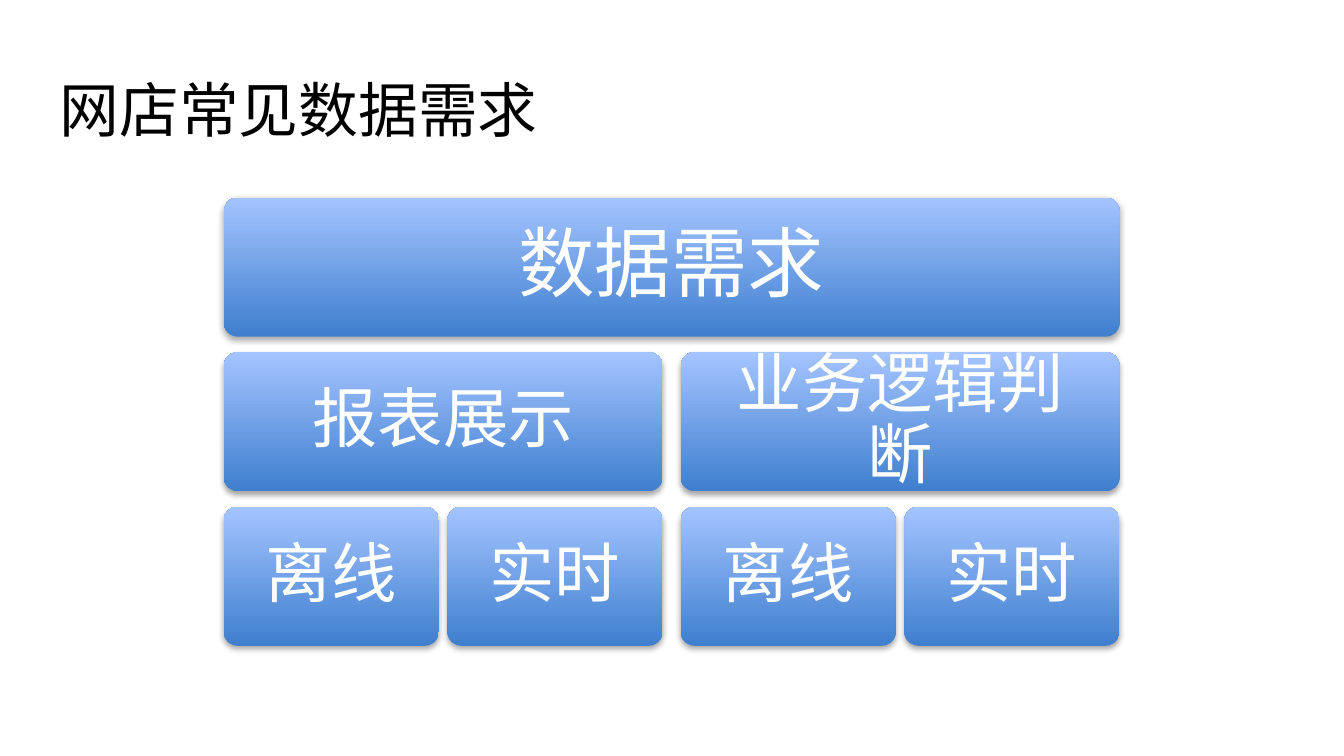
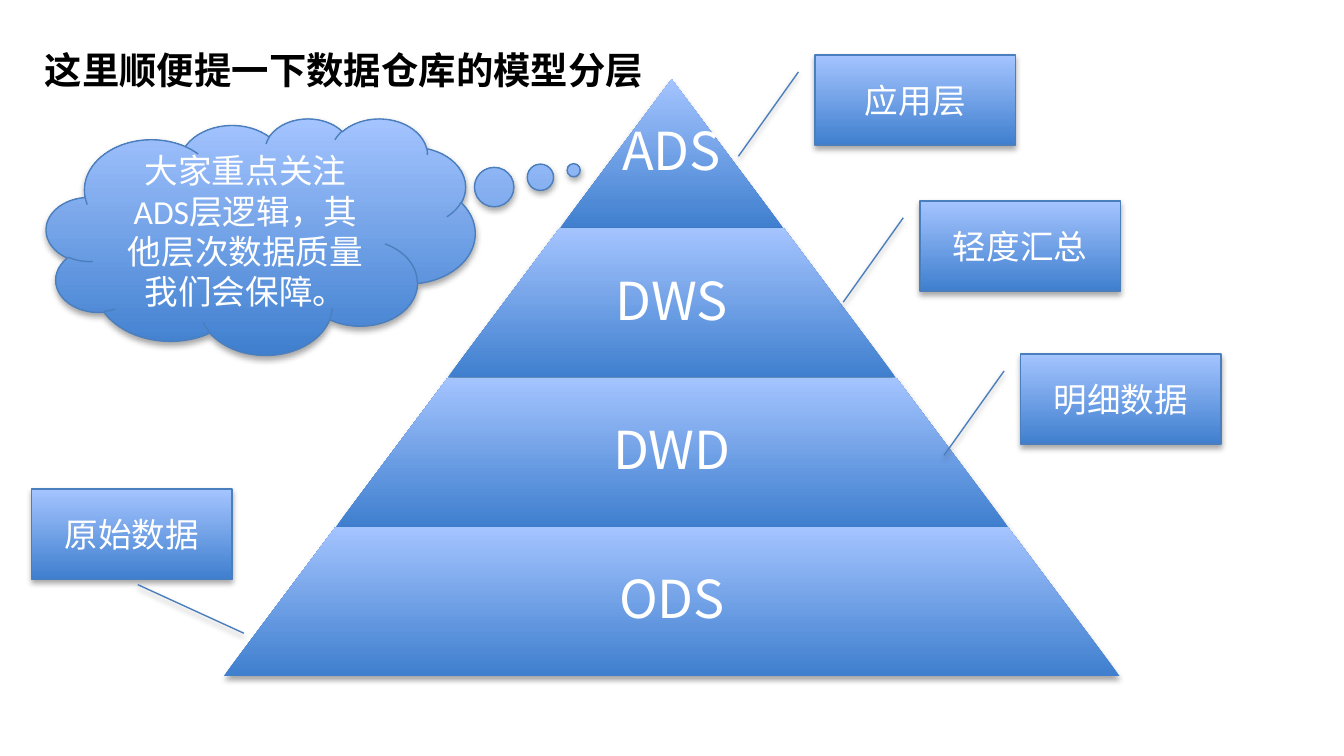
import pptx
import pptx.util
import pptx.dml.color
import pptx.enum.shapes
import pptx.enum.text
import pptx.oxml
import pptx.oxml.ns

PX = 4572  # EMU in one px, 200 px to the inch
WIDE, HIGH = 2000, 1125
LATIN, HAN = "Calibri", "Noto Sans CJK SC"
DARK, LIGHT, EDGE = "3F7FCE", "A4C4FF", "4B7EBC"
WHITE, BLACK = "FFFFFF", "000000"
KIND = pptx.enum.shapes.MSO_SHAPE
SHADOW = (
    '<a:outerShdw %s blurRad="40000" dist="23000" dir="5400000" rotWithShape="0">'
    '<a:srgbClr val="000000"><a:alpha val="35000"/></a:srgbClr></a:outerShdw>'
    % pptx.oxml.ns.nsdecls("a")
)


def px(*nums):
    return [pptx.util.Emu(n * PX) for n in nums]


def paint(code):
    return pptx.dml.color.RGBColor.from_string(code)


def write(frame, text, size=18, font=LATIN, color=WHITE, bold=False,
          center=True, inset=None, space=None, wrap=True):
    """Put one styled paragraph into a text frame."""
    frame.word_wrap = wrap
    if center:
        frame.vertical_anchor = pptx.enum.text.MSO_ANCHOR.MIDDLE
    if inset is not None:
        (gap,) = px(inset)
        frame.margin_left = frame.margin_right = gap
        frame.margin_top = frame.margin_bottom = gap
    para = frame.paragraphs[0]
    align = pptx.enum.text.PP_ALIGN
    para.alignment = align.CENTER if center else align.LEFT
    if space:
        para.line_spacing = space
    run = para.add_run()
    run.text = text
    run.font.name = font
    run.font.size = pptx.util.Pt(size)
    run.font.bold = bold
    run.font.color.rgb = paint(color)
    east = pptx.oxml.parse_xml(
        '<a:ea %s typeface="%s"/>' % (pptx.oxml.ns.nsdecls("a"), HAN))
    run.font._element.find(pptx.oxml.ns.qn("a:latin")).addnext(east)


def label(slide, box, text, **form):
    frame = slide.shapes.add_textbox(*px(*box)).text_frame
    write(frame, text, **form)
    return frame


def title(slide, box, text, **form):
    frame = label(slide, box, text, font=HAN, color=BLACK, center=False,
                  wrap=False, **form)
    frame.auto_size = pptx.enum.text.MSO_AUTO_SIZE.SHAPE_TO_FIT_TEXT


def block(slide, kind, box, tweaks=(), edge=None):
    """Add a shape with the shared gradient and soft shadow."""
    shape = slide.shapes.add_shape(kind, *px(*box))
    for i, value in enumerate(tweaks):
        shape.adjustments[i] = value
    shape.fill.gradient()
    shape.fill.gradient_angle = 90
    for stop, (code, pos) in zip(shape.fill.gradient_stops, ((DARK, 0), (LIGHT, 1))):
        stop.color.rgb = paint(code)
        stop.position = pos
    if edge:
        shape.line.color.rgb = paint(edge)
        shape.line.width = pptx.util.Pt(0.75)
    else:
        shape.line.fill.background()
    shape.shadow.inherit = False
    effects = shape._element.spPr.find(pptx.oxml.ns.qn("a:effectLst"))
    effects.append(pptx.oxml.parse_xml(SHADOW))
    return shape


def card(slide, left, top, wide, text, size=35, inset=30):
    high, rim = 207, 6
    block(slide, KIND.ROUNDED_RECTANGLE, (left, top, wide, high), [0.1])
    label(slide, (left + rim, top + rim, wide - 2 * rim, high - 2 * rim), text,
          size=size, inset=inset, space=0.9)


def layer(slide, rank, text):
    """Add one level of the pyramid; rank 1 is the tip."""
    high, step = 222, 1000 / 3
    top = 118 + (rank - 1) * high
    wide = round(step * rank)
    left = (WIDE - wide) // 2
    block(slide, KIND.TRAPEZOID, (left, top, wide, high), [0.75])
    room = wide if rank == 1 else round(wide * 0.65)
    label(slide, ((WIDE - room) // 2, top, room, high), text,
          size=28, font=HAN, inset=8, space=0.9)


def note(slide, kind, box, text, tweaks=()):
    shape = block(slide, kind, box, tweaks, EDGE)
    write(shape.text_frame, text)


def needs(slide):
    left, top, step = 333, 294, 230
    card(slide, left, top, 1333, "数据需求", size=41, inset=34)
    for i, group in enumerate(("报表展示", "业务逻辑判断")):
        start = left + i * 680
        card(slide, start, top + step, 653, group)
        for j, mode in enumerate(("离线", "实时")):
            card(slide, start + j * 333, top + 2 * step, 320, mode)
    title(slide, (69, 98, 758, 128), "网店常见数据需求", size=32)


def layers(slide):
    # Pyramid
    for rank, name in enumerate(("ADS", "DWS", "DWD", "ODS"), 1):
        layer(slide, rank, name)
    # Callouts
    for left, top, text, tweaks in (
        (1213, 82, "应用层", ()),
        (1369, 299, "轻度汇总", ()),
        (1519, 527, "明细数据", ()),
        (47, 728, "原始数据", (1.06, 0.53, 1.6, 1.06)),
    ):
        note(slide, KIND.LINE_CALLOUT_1, (left, top, 298, 134), text, tweaks)
    title(slide, (47, 60, 954, 88), "这里顺便提一下数据仓库的模型分层", size=20, bold=True)
    note(slide, KIND.CLOUD_CALLOUT, (69, 176, 638, 352),
         "大家重点关注ADS层逻辑，其他层次数据质量我们会保障。", (0.73, -0.28))


def main():
    deck = pptx.Presentation()
    deck.slide_width, deck.slide_height = px(WIDE, HIGH)
    for build in (needs, layers):
        build(deck.slides.add_slide(deck.slide_layouts[6]))
    deck.save("out.pptx")


if __name__ == "__main__":
    main()
